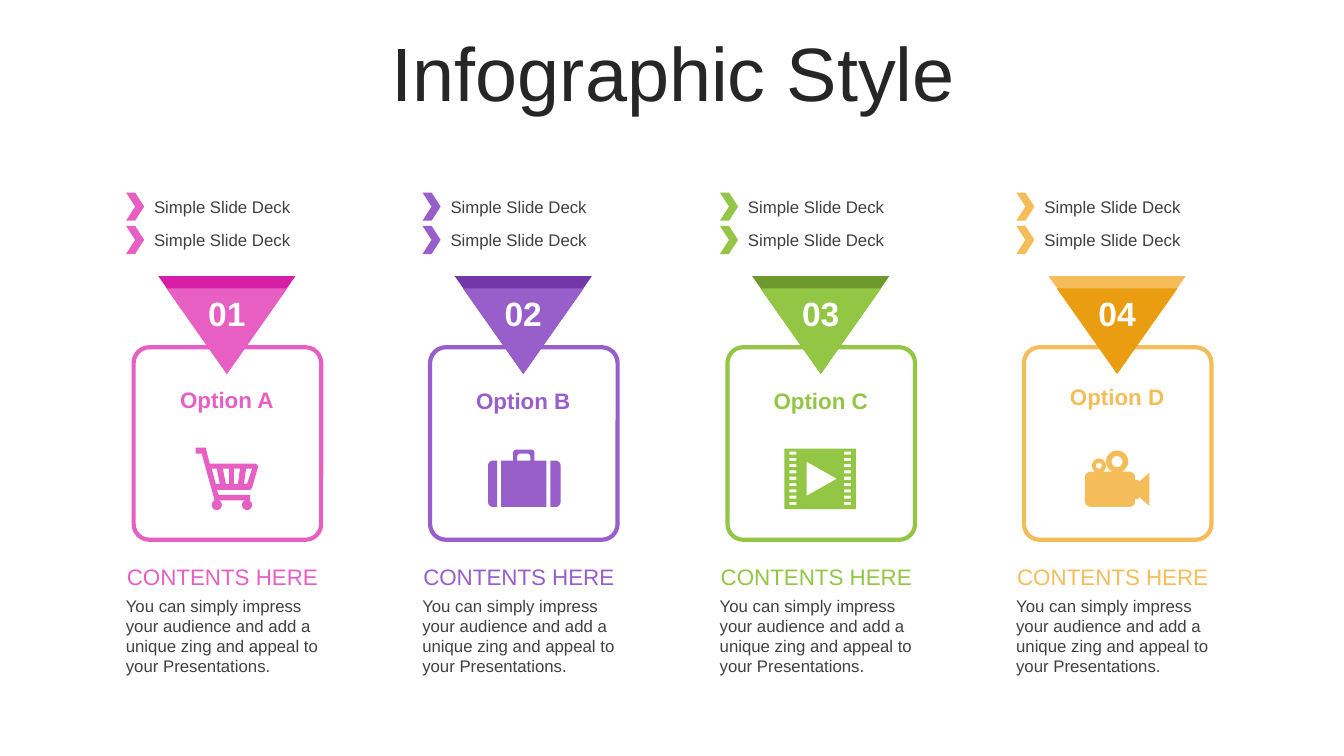
from math import cos, radians, sin

from pptx import Presentation
from pptx import util as u
from pptx.dml.color import RGBColor
from pptx.enum import shapes, text

EMU_PER_PX = 9144  # 100 px to the inch
FONT = "Arial"
GREY = "404040"
CENTER = text.PP_ALIGN.CENTER
LAST_COLUMN_OFFSET = 883
BULLET = "Simple Slide Deck"
DESCRIPTION = ("You can simply impress your audience and add a unique zing "
               "and appeal to your Presentations.")


def px(length):
    return u.Emu(round(length * EMU_PER_PX))


def color(value):
    return RGBColor.from_string(value)


def format_text(paragraph, size, hex_color, bold=False, align=None):
    paragraph.alignment = align
    for run in paragraph.runs:
        run.font.name = FONT
        run.font.size = u.Pt(size)
        run.font.bold = bold
        run.font.color.rgb = color(hex_color)


def add_title(slide, words):
    title = slide.shapes.title
    title.left, title.top, title.width, title.height = map(px, (35, 37, 1266, 79))
    frame = title.text_frame
    frame.text = words
    frame.auto_size = text.MSO_AUTO_SIZE.NONE
    frame.vertical_anchor = text.MSO_ANCHOR.MIDDLE
    paragraph = frame.paragraphs[0]
    paragraph.line_spacing = 0.9
    format_text(paragraph, 54, "262626", align=CENTER)


def add_label(slide, words, box, size, hex_color, bold=False, align=None,
              anchor=text.MSO_ANCHOR.TOP):
    label = slide.shapes.add_textbox(*map(px, box))
    frame = label.text_frame
    frame.word_wrap = True
    frame.text = words
    frame.auto_size = text.MSO_AUTO_SIZE.SHAPE_TO_FIT_TEXT
    frame.vertical_anchor = anchor
    format_text(frame.paragraphs[0], size, hex_color, bold, align)


def paint(shape, fill):
    shape.shadow.inherit = False
    shape.fill.solid()
    shape.fill.fore_color.rgb = color(fill)
    shape.line.fill.background()


def add_preset(slide, kind, box, fill, rotation=0):
    shape = slide.shapes.add_shape(kind, *map(px, box))
    shape.rotation = rotation
    paint(shape, fill)
    return shape


def add_card(slide, left, hex_color):
    card = add_preset(slide, shapes.MSO_SHAPE.ROUNDED_RECTANGLE,
                      (left, 347, 191, 186), "FFFFFF", 90)
    card.adjustments[0] = 0.084
    card.line.color.rgb = color(hex_color)
    card.line.width = u.Pt(3)


def add_icon(slide, contours, fill):
    """Draw closed contours as one shape; inner contours become holes."""
    outlines = [[(px(x), px(y)) for x, y in contour] for contour in contours]
    builder = slide.shapes.build_freeform(*outlines[0][0], scale=1.0)
    for index, points in enumerate(outlines):
        if index:
            builder.move_to(*points[0])
        builder.add_line_segments(points[1:], close=True)
    paint(builder.convert_to_shape(), fill)


def arc(x, y, radius, start, end):
    """Points clockwise from start to end, in degrees from the right."""
    steps = max(4, round((end - start) / 15))
    angles = [radians(start + (end - start) * k / steps) for k in range(steps + 1)]
    return [(x + radius * cos(a), y + radius * sin(a)) for a in angles]


def rectangle(left, top, width, height):
    right, bottom = left + width, top + height
    return [(left, top), (right, top), (right, bottom), (left, bottom)]


def cart():
    wheels = [arc(x, 501, 5, -65, 245) for x in (245, 215)]
    outline = [(204, 444), (208, 460), (253, 460), (255, 461), (256, 463),
               (250, 484), (248, 486), (215, 486), (217, 491), (248, 491),
               (248, 496), *wheels[0], *wheels[1],
               (200, 450), (194, 450), (194, 444), (203, 444)]
    gaps = [(244, 242, 245, 250), (232, 232, 236, 238),
            (221, 224, 227, 227), (210, 214, 218, 215)]
    return [outline] + [[(a, 465), (b, 480), (c, 480), (d, 465)]
                        for a, b, c, d in gaps]


def suitcase():
    right_end = [(546, 457), *arc(551, 462, 5, 270, 360),
                 *arc(551, 498, 5, 0, 90), (546, 503)]
    left_end = [(493, 457), (493, 503), *arc(489, 498, 5, 90, 180),
                *arc(489, 462, 5, 180, 270)]
    middle = [*arc(512, 449, 3, 180, 270), *arc(527, 449, 3, 270, 360),
              (530, 457), (542, 457), (542, 503), (497, 503),
              (497, 457), (509, 457)]
    handle_hole = [(513, 457), *arc(516, 453, 3, 180, 270),
                   *arc(523, 453, 3, 270, 360), (526, 457)]
    return [right_end, left_end, middle, handle_hole]


def film():
    perforations = [rectangle(left, 448 + 6.25 * row, 7, 3)
                    for left in (783, 837) for row in range(9)]
    play = [(800, 458), (800, 492), (830, 475)]
    return [rectangle(778, 445, 71, 60), play, *perforations]


def camera():
    outline = [*arc(1108, 458, 11, 115, 425), *arc(1120, 474, 6, 270, 360),
               (1126, 476), (1129, 476), (1130, 478), (1140, 469),
               (1140, 502), (1130, 493), (1129, 495), (1126, 495),
               *arc(1120, 497, 6, 0, 90), *arc(1082, 497, 6, 90, 180),
               *arc(1082, 474, 6, 180, 270), *arc(1090, 462, 7, 120, 420)]
    return [outline, arc(1090, 462, 3, 0, 360), arc(1108, 458, 5.5, 0, 360)]


# option, label top, main colour, triangle back, triangle front, icon
OPTIONS = [
    ("Option A", 378, "E85FC4", "D61FA6", "E85FC4", cart),
    ("Option B", 379, "985ECA", "7337A7", "985ECA", suitcase),
    ("Option C", 379, "92C644", "6E992F", "92C644", film),
    ("Option D", 375, "F4BD59", "F4BD59", "EA9D10", camera),
]


def add_option(slide, number, option, label_top, main_color, back, front, icon):
    offset = round(LAST_COLUMN_OFFSET * (number - 1) / (len(OPTIONS) - 1))
    triangle = shapes.MSO_SHAPE.ISOSCELES_TRIANGLE
    add_card(slide, offset + 130, main_color)
    add_preset(slide, triangle, (offset + 157, 274, 136, 97), back, 180)
    add_preset(slide, triangle, (offset + 165, 286, 120, 85), front, 180)
    for top in (191, 224):
        add_preset(slide, shapes.MSO_SHAPE.CHEVRON,
                   (offset + 125, top, 18, 28), main_color)
        add_label(slide, BULLET, (offset + 143, top - 1, 183, 30), 12, GREY)
    add_label(slide, DESCRIPTION, (offset + 115, 586, 220, 91), 12, GREY)
    add_label(slide, "CONTENTS HERE", (offset + 116, 553, 220, 37), 16,
              main_color, anchor=text.MSO_ANCHOR.BOTTOM)
    add_label(slide, f"{number:02}", (offset + 185, 286, 80, 50), 24,
              "FFFFFF", True, CENTER)
    add_label(slide, option, (offset + 159, label_top, 132, 37), 16,
              main_color, True, CENTER)
    add_icon(slide, icon(), main_color)


def main():
    presentation = Presentation()
    presentation.slide_width = px(1333)
    presentation.slide_height = px(750)
    slide = presentation.slides.add_slide(presentation.slide_layouts[5])
    add_title(slide, "Infographic Style")
    for number, option in enumerate(OPTIONS, 1):
        add_option(slide, number, *option)
    presentation.save("out.pptx")


if __name__ == "__main__":
    main()
